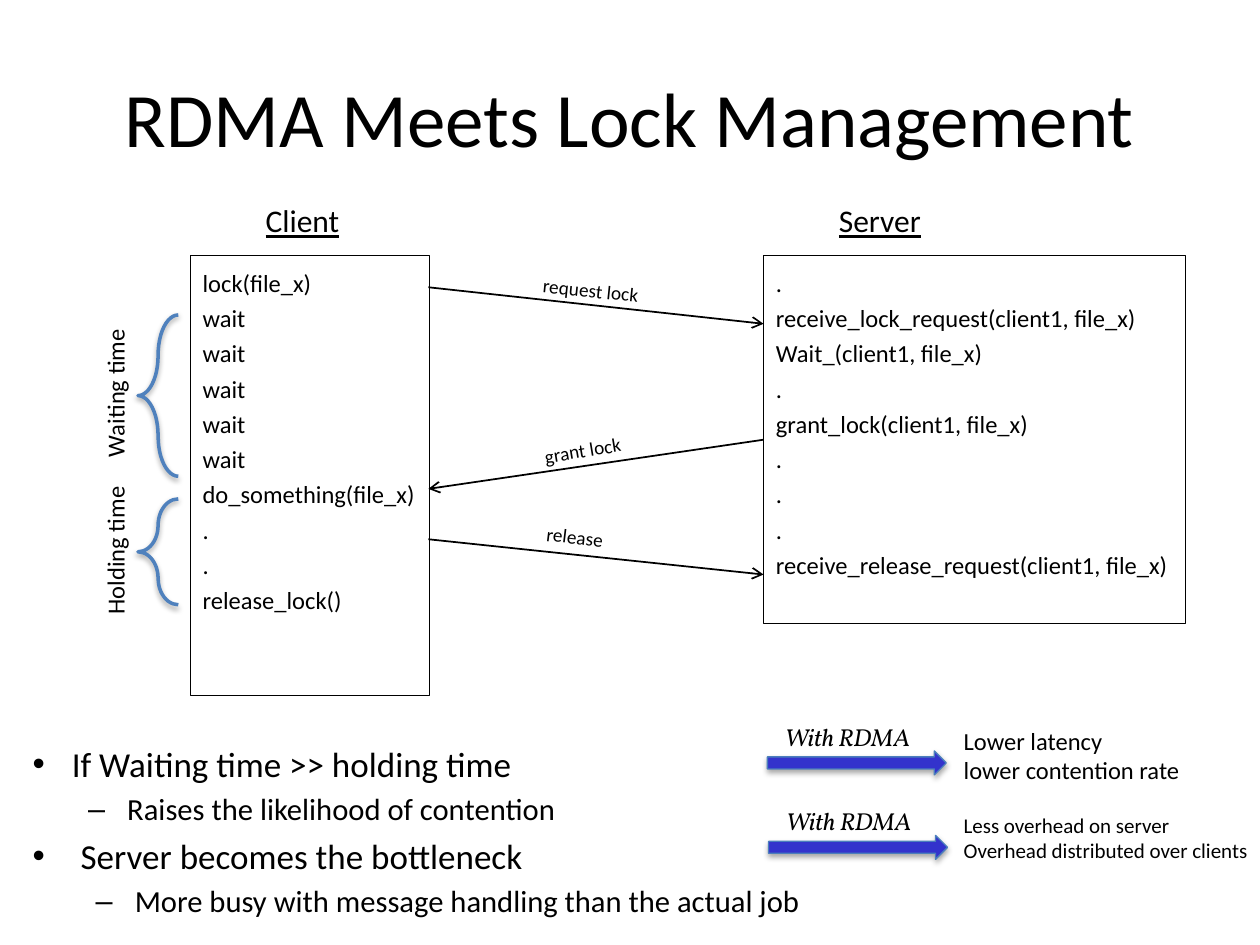
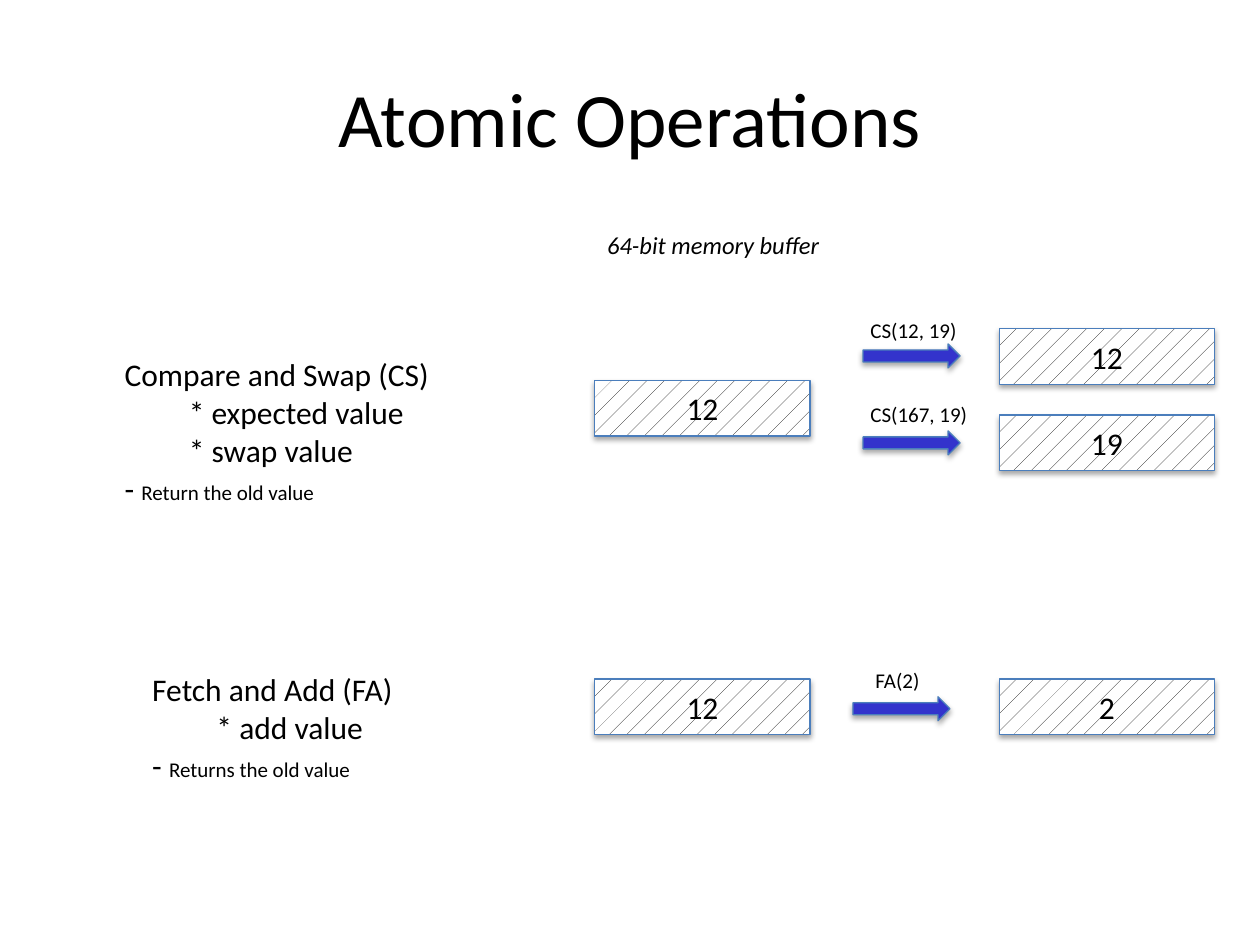
from lxml.etree import SubElement
from pptx import Presentation
from pptx.dml.color import RGBColor
from pptx.enum.dml import MSO_PATTERN
from pptx.enum.shapes import MSO_CONNECTOR, MSO_SHAPE
from pptx.enum.text import MSO_ANCHOR, MSO_AUTO_SIZE, PP_ALIGN
from pptx.oxml.ns import qn
from pptx.util import Inches, Pt

COLORS = {"ink": "000000", "paper": "FFFFFF", "arrow": "3333CC", "edge": "4B7EBC", "brace": "4F81BD"}
RGB = {name: RGBColor.from_string(value) for name, value in COLORS.items()}
FONT = "Calibri"
ACCENT_FONT = "Vollkorn"

presentation = Presentation()
presentation.slide_width = Inches(10)
presentation.slide_height = Inches(7.5)
CELL = presentation.slide_width // 100


def draw(slide, preset, box, line="edge", width=0.75, fill=None, shadow=True):
    left, top, wide, high = [int(cells * CELL) for cells in box]
    if preset is None:
        return slide.shapes.add_textbox(left, top, wide, high)
    shape = slide.shapes.add_shape(preset, left, top, wide, high)
    shape.line.color.rgb = RGB[line]
    shape.line.width = Pt(width)
    if fill == "pattern":
        shape.fill.patterned()
        shape.fill.pattern = MSO_PATTERN.PERCENT_5
        shape.fill.fore_color.rgb = RGB["ink"]
        shape.fill.back_color.rgb = RGB["paper"]
    elif fill:
        shape.fill.solid()
        shape.fill.fore_color.rgb = RGB[fill]
    else:
        shape.fill.background()
    shape.shadow.inherit = False
    if shadow:
        effects = shape._element.spPr.find(qn("a:effectLst"))
        outer = SubElement(effects, qn("a:outerShdw"), blurRad="40000", dist="23000", dir="5400000", rotWithShape="0")
        color = SubElement(outer, qn("a:srgbClr"), val=COLORS["ink"])
        SubElement(color, qn("a:alpha"), val="35000")
    return shape


def write(shape, lines, size, font=FONT, wrap=False, spacing=None, align=PP_ALIGN.LEFT, anchor=MSO_ANCHOR.TOP):
    frame = shape.text_frame
    frame.text = "\n".join(lines)
    frame.word_wrap = wrap
    frame.auto_size = MSO_AUTO_SIZE.NONE
    frame.vertical_anchor = anchor
    for paragraph in frame.paragraphs:
        paragraph.alignment = align
        paragraph.line_spacing = spacing
        paragraph.font.name = font
        paragraph.font.size = Pt(size)
        paragraph.font.color.rgb = RGB["ink"]
    return frame


slides = []
for layout, title in [(1, "RDMA Meets Lock Management"), (5, "Atomic Operations")]:
    slide = presentation.slides.add_slide(presentation.slide_layouts[layout])
    write(slide.shapes.title, [title], 44, wrap=True, align=PP_ALIGN.CENTER, anchor=MSO_ANCHOR.MIDDLE)
    slides.append(slide)
lock_slide, atomic_slide = slides

client_steps = ["lock(file_x)", *["wait"] * 5, "do_something(file_x)", ".", ".", "release_lock()"]
server_steps = [
    ".", "receive_lock_request(client1, file_x)", "Wait_(client1, file_x)", ".",
    "grant_lock(client1, file_x)", ".", ".", ".", "receive_release_request(client1, file_x)",
]
for heading, heading_left, heading_width, box, steps in [
    ("Client", 20.1, 8, (15.1, 20.3, 19, 34.9), client_steps),
    ("Server", 65.6, 8.6, (60.6, 20.3, 33.5, 29.2), server_steps),
]:
    panel = draw(lock_slide, MSO_SHAPE.RECTANGLE, box, line="ink", shadow=False)
    write(panel, steps, 14, wrap=True, spacing=1.2)
    label = draw(lock_slide, None, (heading_left, 15.5, heading_width, 4))
    write(label, [heading], 18).paragraphs[0].font.underline = True

CLIENT_EDGE, SERVER_EDGE = 34, 60.6
for message, start, end, box, angle in [
    ("request lock", (CLIENT_EDGE, 22.8), (SERVER_EDGE, 25.7), (42.1, 21.6, 9.7, 2.9), 5.8),
    ("grant lock", (SERVER_EDGE, 34.9), (CLIENT_EDGE, 38.8), (42.2, 34.3, 8.2, 2.9), 350.4),
    ("release", (CLIENT_EDGE, 42.8), (SERVER_EDGE, 45.6), (42.4, 41.2, 6.6, 2.9), 6.9),
]:
    ends = [int(cells * CELL) for cells in start + end]
    connector = lock_slide.shapes.add_connector(MSO_CONNECTOR.STRAIGHT, *ends)
    connector.line.color.rgb = RGB["ink"]
    connector.line.width = Pt(1)
    properties = connector._element.spPr
    SubElement(properties.find(qn("a:ln")), qn("a:tailEnd"), type="arrow")
    SubElement(properties, qn("a:effectLst"))
    label = draw(lock_slide, None, box)
    label.rotation = angle
    write(label, [message], 11)

for period, label_top, brace_top, brace_height in [
    ("Waiting time", 29.4, 25, 12.8),
    ("Holding time", 41.9, 39.6, 8.4),
]:
    brace = draw(lock_slide, MSO_SHAPE.LEFT_BRACE, (10.95, brace_top, 3.2, brace_height), line="brace", width=2)
    brace.adjustments[0] = 0.99
    label = draw(lock_slide, None, (3, label_top, 12.3, 3.4))
    label.rotation = 270
    write(label, [period], 14)

bullets = [
    ("If Waiting time >> holding time", 0, 20, 0.31, 0.31),
    ("Raises the likelihood of contention", 1, 17.5, 0.75, 0.31),
    ("Server becomes the bottleneck", 0, 20, 0.38, 0.38),
    ("More busy with message handling than the actual job", 1, 17.5, 0.81, 0.31),
]
body = lock_slide.placeholders[1]
body.left, body.top, body.width, body.height = [int(cells * CELL) for cells in (1.6, 58.4, 95.1, 13.6)]
frame = write(body, [bullet[0] for bullet in bullets], 20, wrap=True)
for paragraph, (text, level, size, margin, hanging) in zip(frame.paragraphs, bullets):
    paragraph.level = level
    paragraph.font.size = Pt(size)
    paragraph_properties = paragraph._p.get_or_add_pPr()
    paragraph_properties.set("marL", str(Inches(margin)))
    paragraph_properties.set("indent", str(-Inches(hanging)))

for arrow_left, arrow_top, benefit_top, size, benefits in [
    (60.9, 59.6, 57.1, 14, ["Lower latency", "lower contention rate"]),
    (61, 66.3, 64, 12, ["Less overhead on server", "Overhead distributed over clients"]),
]:
    draw(lock_slide, MSO_SHAPE.RIGHT_ARROW, (arrow_left, arrow_top, 14.2, 1.9), fill="arrow")
    label = draw(lock_slide, None, (arrow_left + 0.4, arrow_top - 2.8, 13.1, 3.4))
    write(label, ["With RDMA"], 14, font=ACCENT_FONT).paragraphs[0].font.italic = True
    write(draw(lock_slide, None, (75.5, benefit_top, 26.4, 5.7)), benefits, size, wrap=True)

for box, lines, note in [
    ((8.9, 27.7, 30.4, 13.1), ["Compare and Swap (CS)", "* expected value", "* swap value"], "Return the old value"),
    ((11.1, 52.7, 21.5, 10.1), ["Fetch and Add (FA)", "* add value"], "Returns the old value"),
]:
    frame = write(draw(atomic_slide, None, box), [*lines, "- "], 18, wrap=True)
    for paragraph in frame.paragraphs[1:-1]:
        paragraph._p.get_or_add_pPr().set("marL", str(Inches(0.51)))
    run = frame.paragraphs[-1].add_run()
    run.text = note
    run.font.size = Pt(12)

caption = draw(atomic_slide, None, (47.2, 17.8, 19.5, 3.4))
write(caption, ["64-bit memory buffer"], 14).paragraphs[0].font.italic = True

BEFORE, AFTER = 47.2, 79.3
for value, left, top in [
    ("12", BEFORE, 30.2), ("12", BEFORE, 53.9),
    ("12", AFTER, 26.1), ("19", AFTER, 32.95), ("2", AFTER, 53.9),
]:
    buffer = draw(atomic_slide, MSO_SHAPE.RECTANGLE, (left, top, 17.1, 4.4), fill="pattern")
    write(buffer, [value], 18, wrap=True, align=PP_ALIGN.CENTER, anchor=MSO_ANCHOR.MIDDLE)

for call, arrow_left, arrow_top, label_left, label_top, label_width in [
    ("CS(12, 19)", 68.5, 27.3, 68.1, 24.7, 8.9),
    ("CS(167, 19)", 68.5, 34.2, 68.1, 31.4, 9.8),
    ("FA(2)", 67.7, 55.3, 68.5, 52.5, 5.6),
]:
    draw(atomic_slide, MSO_SHAPE.RIGHT_ARROW, (arrow_left, arrow_top, 7.7, 1.9), fill="arrow")
    write(draw(atomic_slide, None, (label_left, label_top, label_width, 3)), [call], 12)

presentation.save("out.pptx")
